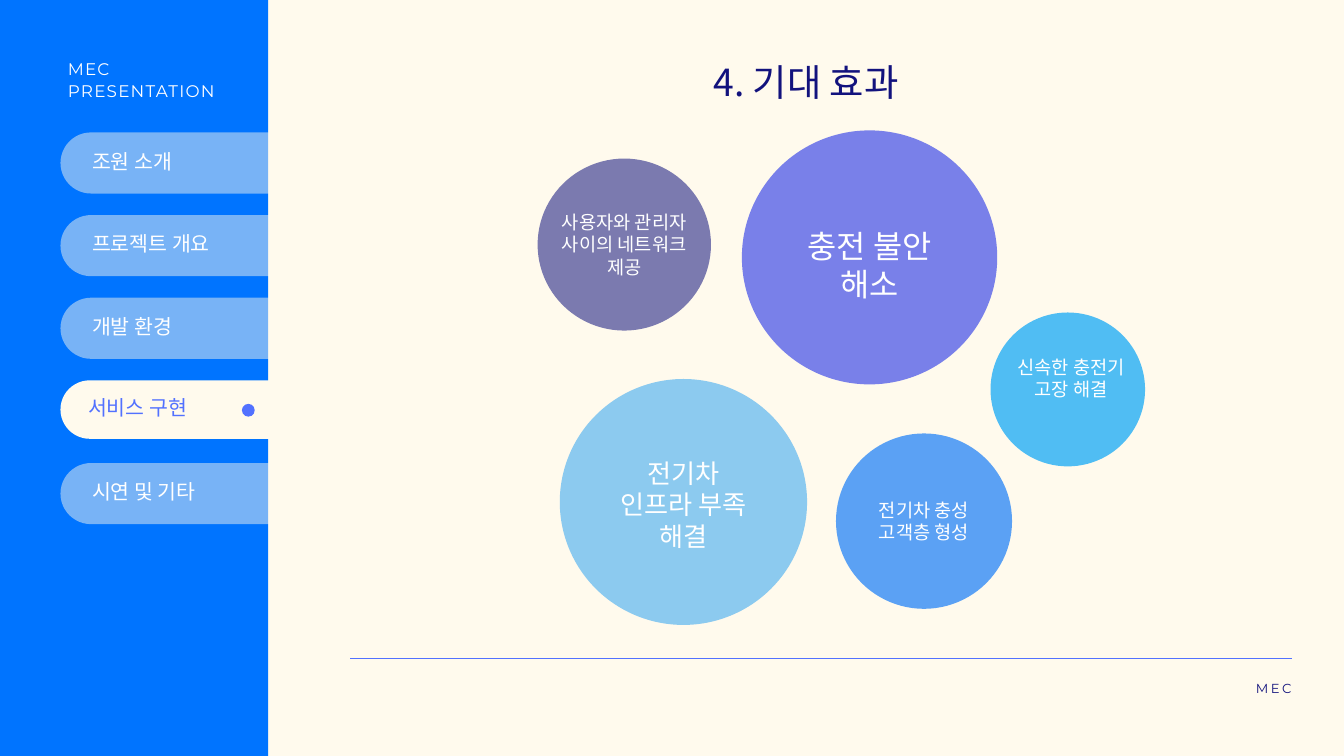
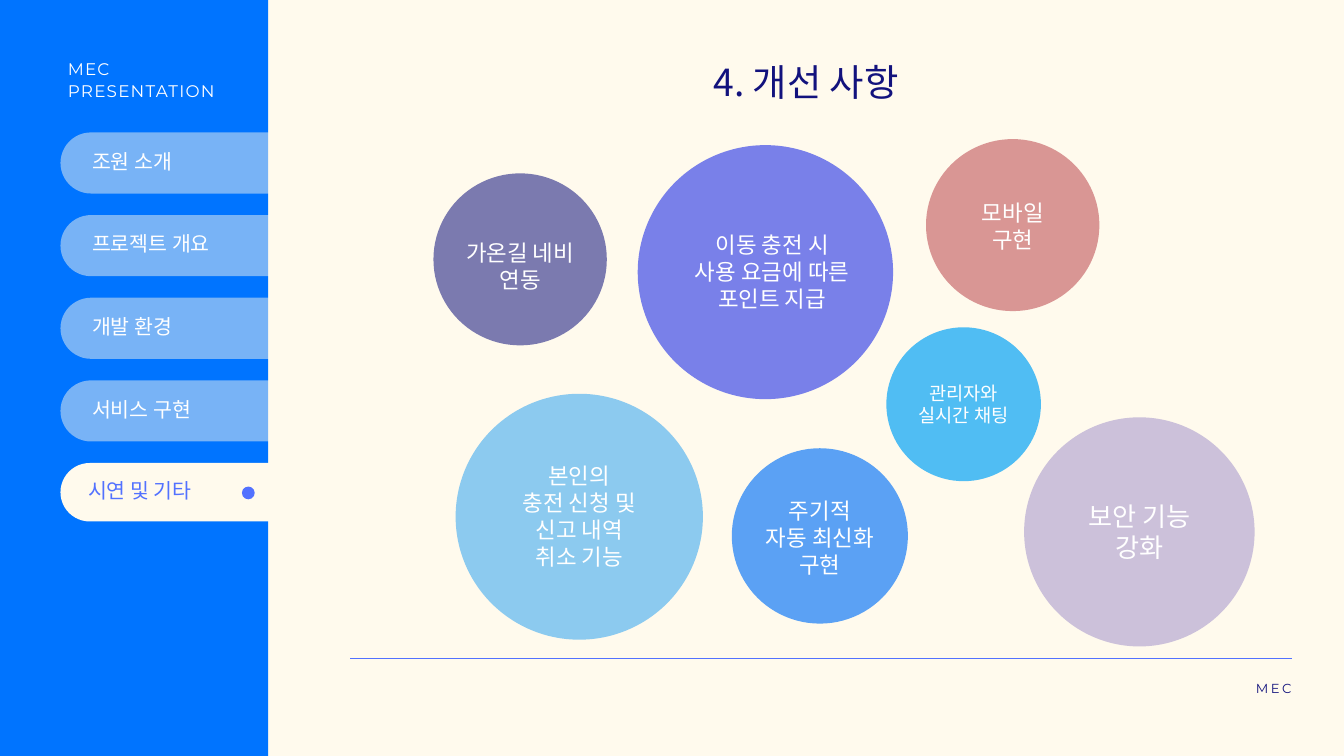
import pptx
import pptx.dml.color
import pptx.enum.shapes
import pptx.enum.text
import pptx.oxml.ns
import pptx.util
from lxml import etree

COLORS = {
    "cream": "FFFAED", "sidebar": "0074FF", "white": "FFFFFF",
    "accent": "5271FF", "navy": "12127D",
    "plum": "7B7AAF", "pale": "8CCAEF", "violet": "7980E9",
    "cyan": "50BDF3", "azure": "5BA1F4", "rose": "D99694", "lilac": "CCC1DA",
}
KOREAN, HEADING, MENU = "Noto Sans CJK KR", "Montserrat", "Calibri"

# Grid: 20 columns by 11.25 rows of square cells
COLUMNS, ROWS = 20, 11.25
CELL = pptx.util.Inches(1)

SIDEBAR = (0, 0, 3.99, ROWS)
CONTENT = (5.21, 0.88, 14.02, 9.46)
TABS = ["조원 소개", "프로젝트 개요", "개발 환경", "서비스 구현", "시연 및 기타"]
TAB_TOP, TAB_STEP = 1.97, 1.23

# Bubbles: column and row within the cluster, width, height
CLUSTER = {
    "plum": (0, 0.42, 2.58, 2.56),
    "pale": (0.33, 3.7, 3.68, 3.66),
    "violet": (3.04, 0, 3.8, 3.78),
    "cyan": (6.74, 2.71, 2.3, 2.29),
    "azure": (4.44, 4.51, 2.62, 2.61),
}
EXTRA_BUBBLES = {
    "rose": (7.33, -0.09, 2.58, 2.56),
    "lilac": (8.79, 4.05, 3.43, 3.41),
}

# Labels: lines, size, width, height, shift from the bubble's centre
EFFECTS = {
    "plum": (["사용자와 관리자 사이의 네트워크 제공"], 20, 2.28, 1.11, 0, 0),
    "pale": (["전기차 인프라 부족 해결"], 28, 2.41, 1.51, 0, 0.04),
    "violet": (["충전 불안 해소"], 34, 2.38, 1.25, 0, 0.12),
    "cyan": (["신속한 충전기 고장 해결"], 20, 1.91, 1.11, 0.05, 0),
    "azure": (["전기차 충성 고객층 형성"], 20, 2.22, 0.77, 0, 0),
}
IMPROVEMENTS = {
    "plum": (["가온길 네비", "연동"], 24, 2.21, 0.91, 0, 0.1),
    "pale": (["본인의", "충전 신청 및", "신고 내역", "취소 기능"], 24, 3.29, 1.72, 0, 0),
    "violet": (["이동 충전 시", "사용 요금에 따른 포인트 지급"], 24, 3.01, 1.31, 0.1, 0),
    "cyan": (["관리자와 실시간 채팅"], 20, 2.05, 0.77, 0, 0),
    "azure": (["주기적", "자동 최신화", "구현"], 24, 2.31, 1.31, 0, 0.03),
    "rose": (["모바일 구현"], 24, 1.79, 0.91, 0, 0.02),
    "lilac": (["보안 기능", "강화"], 28, 2.15, 1.04, 0, 0),
}


def cells(*lengths):
    return [int(length * CELL) for length in lengths]


def rgb(color):
    return pptx.dml.color.RGBColor.from_string(COLORS[color])


def write(frame, lines, *, size, color, font=KOREAN, align="LEFT",
          line_spacing=None, tracking=0, inset=True):
    """Fill a text frame with one paragraph per line."""
    frame.word_wrap = True
    frame.auto_size = pptx.enum.text.MSO_AUTO_SIZE.NONE
    frame.vertical_anchor = pptx.enum.text.MSO_ANCHOR.TOP
    if not inset:
        frame.margin_left = frame.margin_right = 0
        frame.margin_top = frame.margin_bottom = 0
    for index, line in enumerate(lines):
        paragraph = frame.add_paragraph() if index else frame.paragraphs[0]
        paragraph.alignment = getattr(pptx.enum.text.PP_ALIGN, align)
        if line_spacing:
            paragraph.line_spacing = pptx.util.Pt(line_spacing)
        run = paragraph.add_run()
        run.text = line
        run.font.size = pptx.util.Pt(size)
        run.font.color.rgb = rgb(color)
        run.font.name = font
        properties = run.font._element
        east_asian = etree.SubElement(properties, pptx.oxml.ns.qn("a:ea"))
        east_asian.set("typeface", KOREAN)
        if tracking:
            properties.set("spc", str(round(tracking * 100)))


def add_text(slide, box, lines, **style):
    write(slide.shapes.add_textbox(*cells(*box)).text_frame, lines, **style)


def add_block(slide, kind, box, color, opacity=100):
    preset = getattr(pptx.enum.shapes.MSO_SHAPE, kind)
    block = slide.shapes.add_shape(preset, *cells(*box))
    block.shadow.inherit = False
    block.line.fill.background()
    block.fill.solid()
    block.fill.fore_color.rgb = rgb(color)
    if opacity < 100:
        tone = block._element.spPr.find(".//" + pptx.oxml.ns.qn("a:srgbClr"))
        alpha = etree.SubElement(tone, pptx.oxml.ns.qn("a:alpha"))
        alpha.set("val", str(opacity * 1000))
    return block


def add_tab(slide, box, name, active):
    left, top, width, height = box
    if active:
        height -= 0.04
    pill = add_block(slide, "ROUNDED_RECTANGLE", (left, top, width, height),
                     "cream", 100 if active else 47)
    pill.adjustments[0] = 0.5
    indent, drop = (0.41, 0.29) if active else (0.47, 0.31)
    add_text(slide, (left + indent, top + drop, 2.55, 0.31), [name], size=22,
             font=MENU, color="accent" if active else "white",
             line_spacing=21.6, inset=False)
    if active:
        add_block(slide, "OVAL", (left + 2.7, top + 0.35, 0.19, 0.19), "accent")


def add_sidebar(slide, box, current):
    left, top, _, _ = box
    add_block(slide, "RECTANGLE", box, "sidebar")
    add_text(slide, (left + 1.01, top + 0.86, 2.24, 0.65), ["MEC PRESENTATION"],
             size=18, font=HEADING, color="white", line_spacing=23,
             tracking=1.3, inset=False)
    # Tabs run past the sidebar and merge with the page
    for index, name in enumerate(TABS):
        tab_box = (left + 0.9, top + TAB_TOP + index * TAB_STEP, 3.56, 0.91)
        add_tab(slide, tab_box, name, name == current)


def add_title(slide, box, heading):
    left, top, _, _ = box
    title = slide.shapes.title
    title.left, title.top, title.width, title.height = cells(
        left + 2.29, top, 8.99, 0.66)
    write(title.text_frame, [heading], size=40, color="navy", align="CENTER",
          line_spacing=48, inset=False)


def add_footer(slide, box):
    left, top, width, height = box
    right, rule_top = left + width, top + height - 0.54
    rule = slide.shapes.add_connector(
        pptx.enum.shapes.MSO_CONNECTOR.STRAIGHT,
        *cells(left, rule_top, right, rule_top))
    rule.line.color.rgb = rgb("accent")
    rule.line.width = pptx.util.Pt(0.75)
    etree.SubElement(rule._element.spPr, pptx.oxml.ns.qn("a:effectLst"))
    add_text(slide, (right - 3.38, rule_top + 0.32, 3.37, 0.22), ["MEC"],
             size=14, font=HEADING, color="navy", align="RIGHT",
             line_spacing=16.8, tracking=2.7, inset=False)


def add_bubbles(slide, origin, bubbles, labels):
    # Circles
    for color, (column, row, width, height) in bubbles.items():
        add_block(slide, "OVAL",
                  (origin[0] + column, origin[1] + row, width, height), color)
    # Labels, centred on their circles
    for color, (lines, size, width, height, shift_x, shift_y) in labels.items():
        column, row, across, down = bubbles[color]
        left = origin[0] + column + (across - width) / 2 + shift_x
        top = origin[1] + row + (down - height) / 2 + shift_y
        add_text(slide, (left, top, width, height), lines, size=size,
                 color="white", align="CENTER")


def add_bubble_slide(deck, heading, current, origin, bubbles, labels):
    slide = deck.slides.add_slide(deck.slide_layouts[5])
    add_sidebar(slide, SIDEBAR, current)
    add_title(slide, CONTENT, heading)
    add_footer(slide, CONTENT)
    add_bubbles(slide, origin, bubbles, labels)


def main():
    deck = pptx.Presentation()
    deck.slide_width, deck.slide_height = cells(COLUMNS, ROWS)
    page = deck.slide_master.background.fill
    page.solid()
    page.fore_color.rgb = rgb("cream")
    add_bubble_slide(deck, "4. 기대 효과", "서비스 구현", (8, 1.94),
                     CLUSTER, EFFECTS)
    add_bubble_slide(deck, "4. 개선 사항", "시연 및 기타", (6.45, 2.16),
                     CLUSTER | EXTRA_BUBBLES, IMPROVEMENTS)
    deck.save("out.pptx")


if __name__ == "__main__":
    main()
